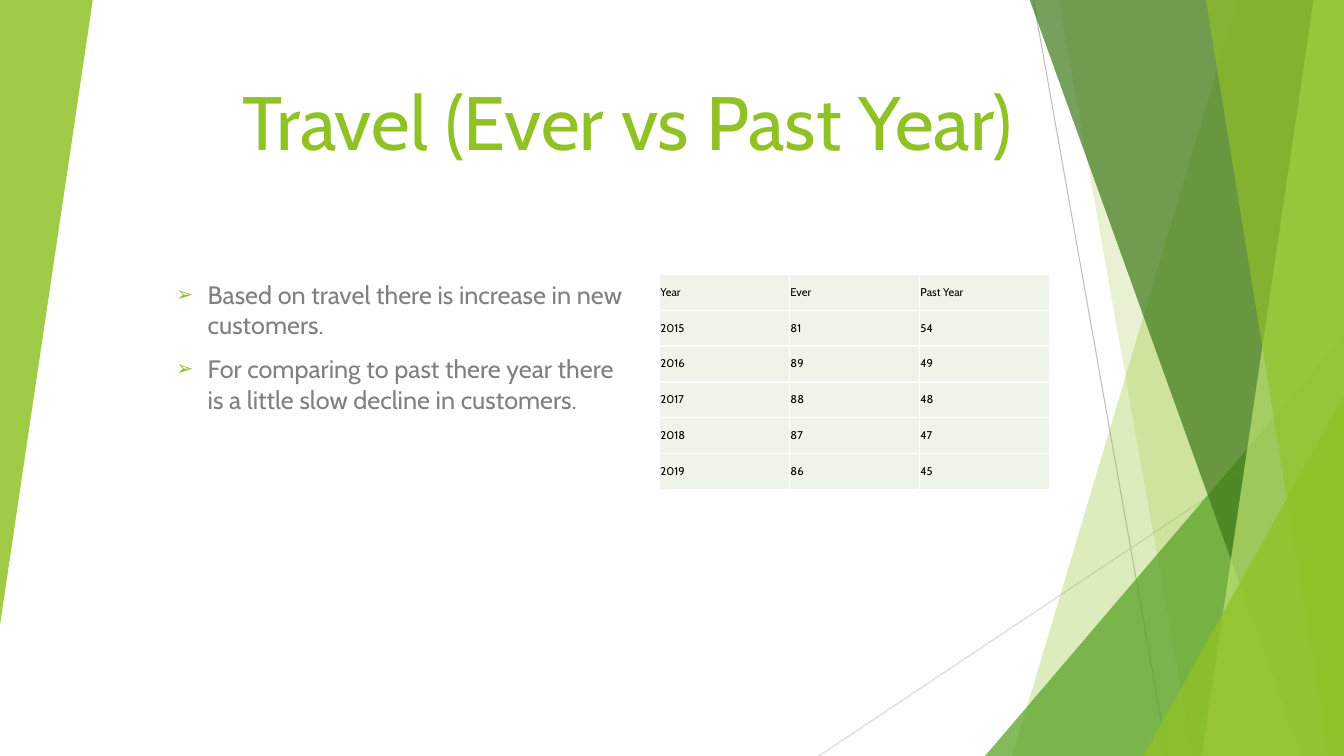
import lxml.etree
import pptx
import pptx.dml.color
import pptx.enum.shapes
import pptx.enum.text
import pptx.oxml
import pptx.oxml.ns
import pptx.util

Inches = pptx.util.Inches
Align = pptx.enum.text.PP_ALIGN
Anchor = pptx.enum.text.MSO_ANCHOR
qn = pptx.oxml.ns.qn
NAMESPACE = 'xmlns:a="http://schemas.openxmlformats.org/drawingml/2006/main"'
WIDTH, HEIGHT = 13.33, 7.5
GREEN = "90C226"


def color(value):
    return pptx.dml.color.RGBColor.from_string(value)


def write_text(paragraph, text, size, fill, align=Align.LEFT, before=0):
    run = paragraph.add_run()
    run.text = text
    run.font.name = "Cabin"
    run.font.size = pptx.util.Pt(size)
    run.font.color.rgb = color(fill)
    paragraph.alignment = align
    paragraph.space_before = pptx.util.Pt(before)


presentation = pptx.Presentation()
presentation.slide_width = Inches(WIDTH)
presentation.slide_height = Inches(HEIGHT)
slide = presentation.slides.add_slide(presentation.slide_layouts[0])
title, body = slide.placeholders

# Thin lines behind the green bands
for x1, y1, x2, y2, line_color in [
    (10.25, 0, 11.58, HEIGHT, "BFBFBF"),
    (WIDTH, 4.03, 8.12, HEIGHT, "D9D9D9"),
]:
    connector = slide.shapes.add_connector(
        pptx.enum.shapes.MSO_CONNECTOR.STRAIGHT,
        Inches(x1), Inches(y1), Inches(x2), Inches(y2))
    connector.line.color.rgb = color(line_color)
    connector.line.width = pptx.util.Pt(0.75)
    lxml.etree.SubElement(connector.element.spPr, qn("a:effectLst"))

# Bands are (top x, bottom x) up to the right edge;
# triangles are (left, top, width, height, rotation)
for geometry, fill, opacity in [
    ((12.28, 10.04), GREEN, 30),
    ((10.5, 11.83), GREEN, 20),
    ((9.77, 3.33, 3.56, 4.17, 0), "54A021", 72),
    ((10.21, 12.91), "3F7819", 70),
    ((13.03, 11.92), "C0E474", 70),
    ((11.96, 13.18), GREEN, 65),
    ((11.34, 3.93, 1.99, 3.57, 0), GREEN, 80),
    ((0, 0, 0.92, 6.2, 180), GREEN, 85),
]:
    if len(geometry) == 2:
        top_x, bottom_x = geometry
        builder = slide.shapes.build_freeform(Inches(top_x), Inches(-0.01))
        builder.add_line_segments([
            (Inches(x), Inches(y)) for x, y in
            [(WIDTH, -0.01), (WIDTH, HEIGHT), (bottom_x, HEIGHT)]])
        shape = builder.convert_to_shape()
    else:
        *box, rotation = geometry
        shape = slide.shapes.add_shape(
            pptx.enum.shapes.MSO_SHAPE.ISOSCELES_TRIANGLE, *map(Inches, box))
        shape.adjustments[0] = 1
        shape.rotation = rotation
    shape.shadow.inherit = False
    shape.line.fill.background()
    shape.fill.solid()
    shape.fill.fore_color.rgb = color(fill)
    fill_color = shape.element.spPr.find(".//" + qn("a:srgbClr"))
    lxml.etree.SubElement(fill_color, qn("a:alpha"), val=str(opacity * 1000))

# Title and body stand in front of the decoration
for placeholder, box, anchor in [
    (title, (-0.24, 0.8, 10.38, 0.89), Anchor.BOTTOM),
    (body, (1.65, 2.72, 4.69, 2.91), Anchor.TOP),
]:
    slide.shapes.element.append(placeholder.element)
    placeholder.left, placeholder.top, placeholder.width, placeholder.height = map(Inches, box)
    placeholder.text_frame.word_wrap = True
    placeholder.text_frame.auto_size = pptx.enum.text.MSO_AUTO_SIZE.NONE
    placeholder.text_frame.vertical_anchor = anchor

write_text(title.text_frame.paragraphs[0], "Travel (Ever vs Past Year)",
           size=54, fill=GREEN, align=Align.RIGHT)

# Bulleted findings
findings = [
    "Based on travel there is increase in new customers.",
    "For comparing to past there year there is a little slow decline in customers.",
]
body.text_frame.add_paragraph()
for paragraph, finding in zip(body.text_frame.paragraphs, findings):
    write_text(paragraph, finding, size=18, fill="808080", before=10)
    properties = paragraph._p.get_or_add_pPr()
    properties.set("marL", str(Inches(0.31)))
    properties.set("indent", str(Inches(-0.31)))
    for bullet in [
        f'<a:buClr {NAMESPACE}><a:srgbClr val="{GREEN}"/></a:buClr>',
        f'<a:buSzPct {NAMESPACE} val="80000"/>',
        f'<a:buChar {NAMESPACE} char="➢"/>',
    ]:
        properties.append(pptx.oxml.parse_xml(bullet))

# Travel table
rows = [
    ("Year", "Ever", "Past Year"),
    (2015, 81, 54),
    (2016, 89, 49),
    (2017, 88, 48),
    (2018, 87, 47),
    (2019, 86, 45),
]
table = slide.shapes.add_table(
    len(rows), 3, Inches(6.54), Inches(2.72), Inches(3.87), Inches(2.14)).table
for row_index, values in enumerate(rows):
    for column_index, value in enumerate(values):
        cell = table.cell(row_index, column_index)
        cell.margin_left = cell.margin_right = Inches(0.01)
        cell.margin_top = cell.margin_bottom = Inches(0.03)
        cell.vertical_anchor = Anchor.MIDDLE
        cell.fill.solid()
        cell.fill.fore_color.rgb = color("EEF4E8")
        write_text(cell.text_frame.paragraphs[0], str(value), size=8, fill="000000")
        for position, side in enumerate("LRTB"):
            border = pptx.oxml.parse_xml(
                f'<a:ln{side} {NAMESPACE} w="12700"><a:solidFill>'
                f'<a:srgbClr val="FFFFFF"/></a:solidFill></a:ln{side}>')
            cell._tc.get_or_add_tcPr().insert(position, border)
table.cell(0, 0).margin_top = Inches(0.01)
table.cell(0, 0).margin_bottom = 0

presentation.save("out.pptx")
